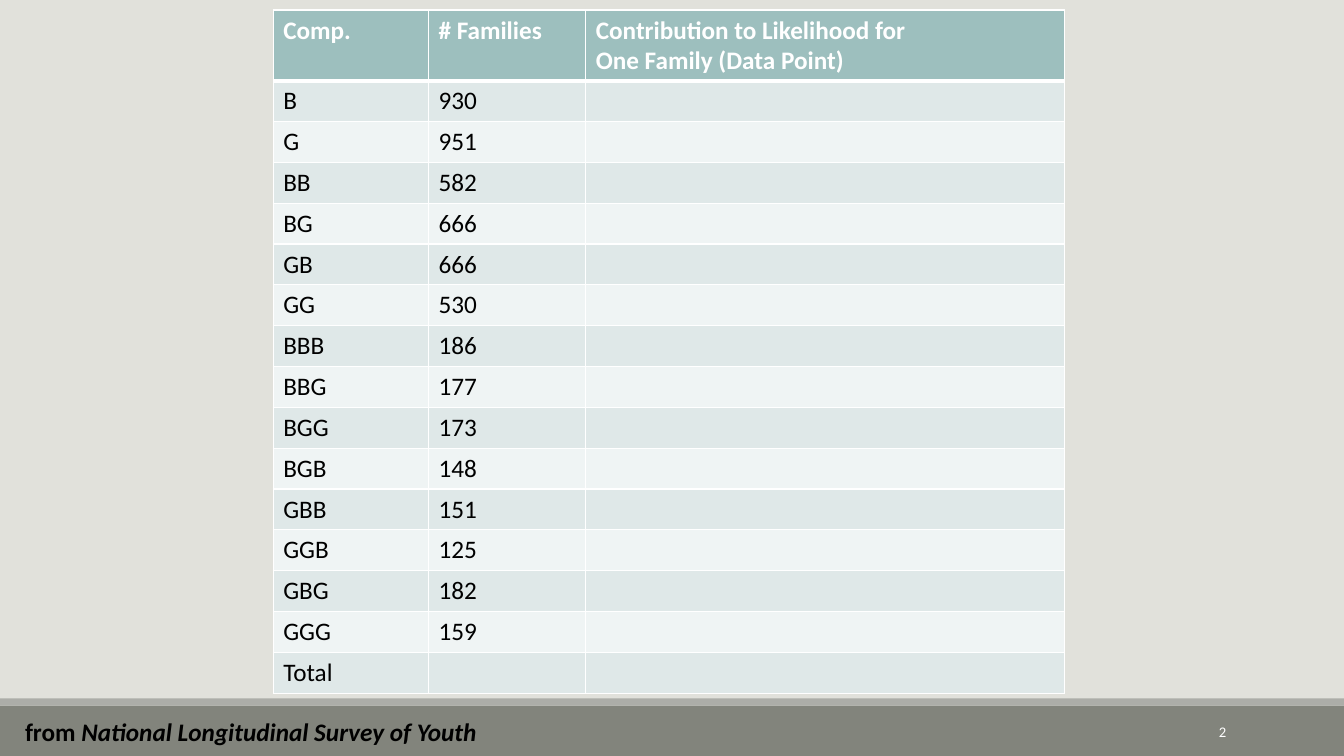
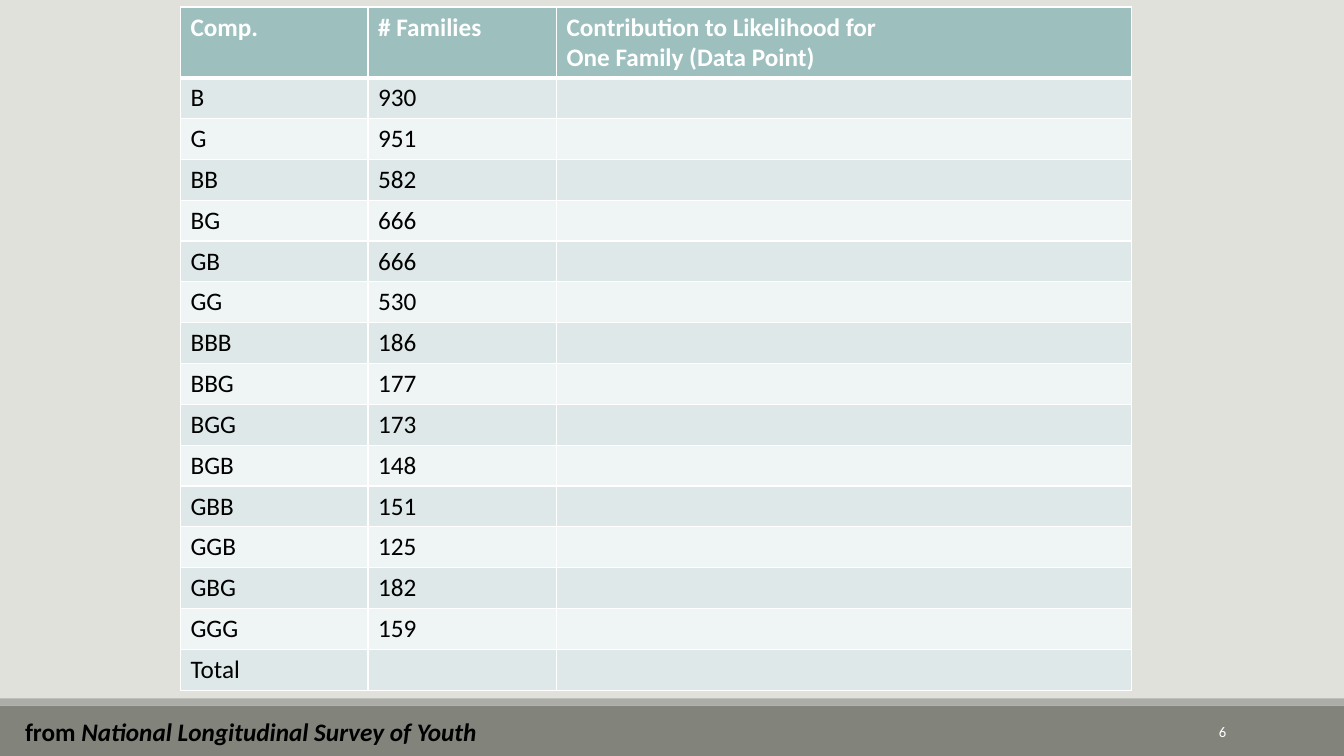
from lxml import etree
from pptx import Presentation
from pptx.dml.color import RGBColor
from pptx.enum.shapes import MSO_SHAPE
from pptx.enum.text import MSO_ANCHOR, PP_ALIGN
from pptx.oxml.ns import qn
from pptx.util import Inches, Pt

HEADERS = ("Comp.", "# Families",
           "Contribution to Likelihood for \nOne Family (Data Point)")
FAMILIES = [
    ("B", "930"), ("G", "951"),
    ("BB", "582"), ("BG", "666"), ("GB", "666"), ("GG", "530"),
    ("BBB", "186"), ("BBG", "177"), ("BGG", "173"), ("BGB", "148"),
    ("GBB", "151"), ("GGB", "125"), ("GBG", "182"), ("GGG", "159"),
    ("Total", ""),
]
SOURCE_LEAD, SOURCE_NAME = "from ", "National Longitudinal Survey of Youth"
# Page number, table left and top, column widths
PAGES = [
    ("2", 2.71, 0.10, (1.54, 1.56, 4.75)),
    ("6", 1.79, 0.07, (1.86, 1.87, 5.70)),
]

SLIDE_WIDTH, SLIDE_HEIGHT = 13.33, 7.5
TABLE_HEIGHT, HEADER_HEIGHT = 6.78, 0.7
BANDS_TOP, FOOTER_TOP = 6.93, 7.0
FOOTER_TEXT_TOP, FOOTER_TEXT_HEIGHT = 7.06, 0.4

FONT = "Calibri"
WHITE = RGBColor(0xFF, 0xFF, 0xFF)
BLACK = RGBColor(0x00, 0x00, 0x00)
BACKGROUND = RGBColor(0xE1, 0xE1, 0xDB)
FOOTER_FILL = RGBColor(0x82, 0x84, 0x7C)
STRIP_FILL = RGBColor(0xAC, 0xAD, 0xA8)
HEADER_FILL = RGBColor(0x9D, 0xBF, 0xBE)
ROW_FILLS = (RGBColor(0xDF, 0xE8, 0xE8), RGBColor(0xEF, 0xF4, 0xF4))

RECTANGLE = MSO_SHAPE.RECTANGLE
LEFT, RIGHT = PP_ALIGN.LEFT, PP_ALIGN.RIGHT
TOP, MIDDLE = MSO_ANCHOR.TOP, MSO_ANCHOR.MIDDLE


def add_text(para, text, size=18, color=BLACK, bold=False, italic=False):
    """Append formatted text to a paragraph, breaking lines at newlines."""
    for index, line in enumerate(text.split("\n")):
        if index:
            para.add_line_break()
        span = para.add_run()
        span.text = line
        span.font.name = FONT
        span.font.size = Pt(size)
        span.font.color.rgb = color
        span.font.bold = bold
        span.font.italic = italic


def add_text_box(page, left, width, align=LEFT, anchor=TOP):
    """Add an empty footer text box and return its paragraph."""
    box = page.shapes.add_textbox(Inches(left), Inches(FOOTER_TEXT_TOP),
                                  Inches(width), Inches(FOOTER_TEXT_HEIGHT))
    box.text_frame.word_wrap = True
    box.text_frame.vertical_anchor = anchor
    para = box.text_frame.paragraphs[0]
    para.alignment = align
    return para


def add_band(page, top, bottom, color):
    """Draw a full-width band."""
    band = page.shapes.add_shape(RECTANGLE, 0, Inches(top), Inches(SLIDE_WIDTH),
                                 Inches(bottom - top))
    band.shadow.inherit = False
    band.fill.solid()
    band.fill.fore_color.rgb = color
    band.line.fill.background()


def add_footer(page, number):
    """Draw the footer bands, the page number and the data source."""
    add_band(page, FOOTER_TOP, SLIDE_HEIGHT, FOOTER_FILL)
    add_band(page, BANDS_TOP, FOOTER_TOP, STRIP_FILL)
    add_text(add_text_box(page, 10.83, 1.43, align=RIGHT, anchor=MIDDLE),
             number, size=10.5, color=WHITE)
    source = add_text_box(page, 0.15, 6.29)
    add_text(source, SOURCE_LEAD, bold=True)
    add_text(source, SOURCE_NAME, bold=True, italic=True)


def set_borders(cell, top=1, bottom=1):
    """Give a cell white borders, with widths in points."""
    properties = cell._tc.get_or_add_tcPr()
    for side, width in (("L", 1), ("R", 1), ("T", top), ("B", bottom)):
        line = etree.SubElement(properties, qn(f"a:ln{side}"), w=str(Pt(width)))
        fill = etree.SubElement(line, qn("a:solidFill"))
        etree.SubElement(fill, qn("a:srgbClr"), val=str(WHITE))


def add_family_table(page, left, top, widths):
    """Add the table of family compositions."""
    rows = [HEADERS] + [family + ("",) for family in FAMILIES]
    table = page.shapes.add_table(
        len(rows), len(widths), Inches(left), Inches(top),
        Inches(sum(widths)), Inches(TABLE_HEIGHT)).table
    for column, width in zip(table.columns, widths):
        column.width = Inches(width)
    body_height = (TABLE_HEIGHT - HEADER_HEIGHT) / len(FAMILIES)
    for row_index, values in enumerate(rows):
        is_header = row_index == 0
        table.rows[row_index].height = Inches(
            HEADER_HEIGHT if is_header else body_height)
        for column_index, value in enumerate(values):
            cell = table.cell(row_index, column_index)
            set_borders(cell, top=3 if row_index == 1 else 1,
                        bottom=3 if is_header else 1)
            cell.fill.solid()
            cell.fill.fore_color.rgb = (
                HEADER_FILL if is_header else ROW_FILLS[(row_index - 1) % 2])
            if value:
                add_text(cell.text_frame.paragraphs[0], value, bold=is_header,
                         color=WHITE if is_header else BLACK)


def build_deck():
    """Build and save the deck."""
    deck = Presentation()
    deck.slide_width = Inches(SLIDE_WIDTH)
    deck.slide_height = Inches(SLIDE_HEIGHT)
    background = deck.slide_master.background.fill
    background.solid()
    background.fore_color.rgb = BACKGROUND
    blank_layout = deck.slide_layouts[6]
    for number, left, top, widths in PAGES:
        page = deck.slides.add_slide(blank_layout)
        add_footer(page, number)
        add_family_table(page, left, top, widths)
    deck.save("out.pptx")


build_deck()
